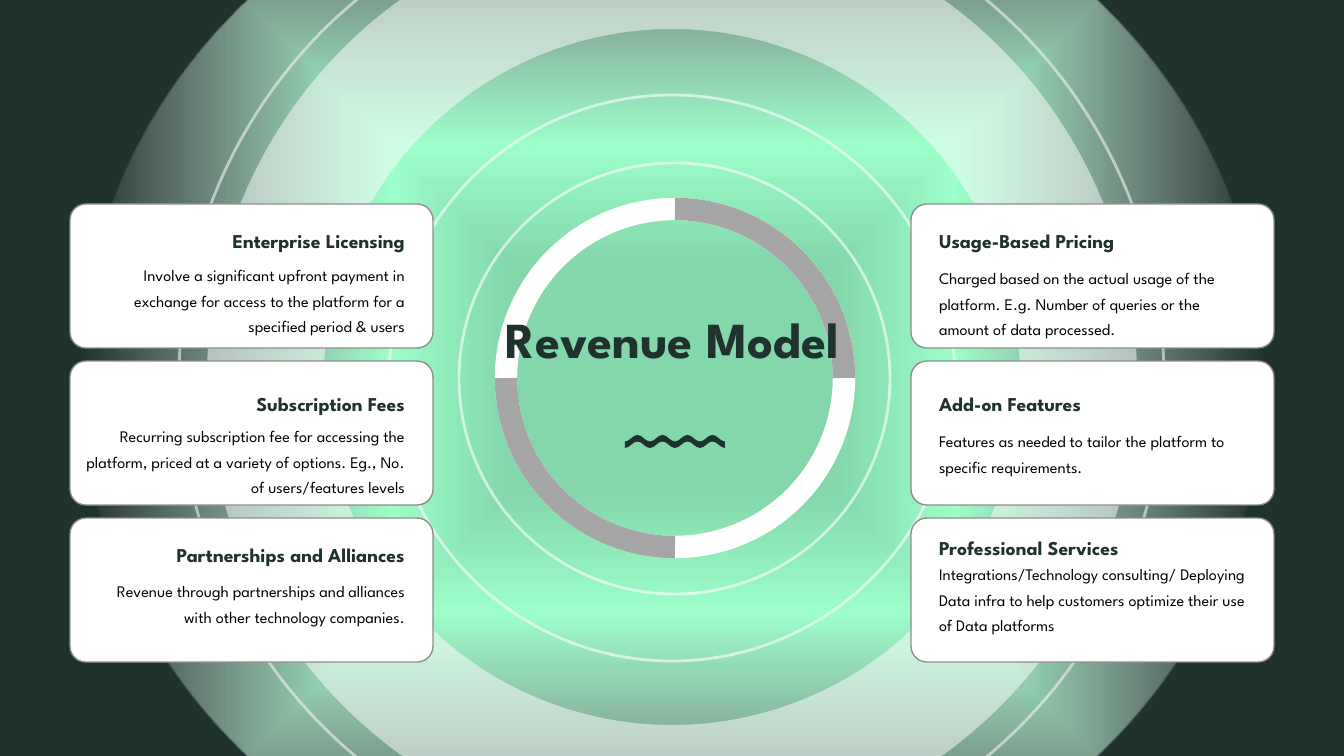
from pptx import Presentation
from pptx.dml.color import RGBColor as RGB
from pptx.enum.shapes import MSO_SHAPE as SHP
from pptx.enum.text import MSO_AUTO_SIZE as FIT, PP_ALIGN as AL
from pptx.oxml import parse_xml
from pptx.oxml.ns import nsdecls, qn
from pptx.util import Pt

PX = 914400 / 100.8
INK = {"dark": "20322E", "text": "000000", "white": "FFFFFF", "pale": "F2F2F2",
       "gray": "A6A6A6", "edge": "8E8E8E", "mint": "9CFFC9", "glow": "9DFFCA"}
HEAD = {"size": Pt(14), "bold": True}
BODY = {"size": Pt(11.5), "bold": False}
MAIN = {"size": Pt(36), "bold": True}


def draw(kind, box, fill=None, line=None, width=2, alpha=None, adj=None):
    """Add a preset shape; box is left, top, width, height in px."""
    shape = slide.shapes.add_shape(kind, *(round(v * PX) for v in box))
    shape.shadow.inherit = False
    if adj is not None:
        shape.adjustments[0] = adj
    for part, ink in ((shape.fill, fill), (shape.line.fill, line)):
        if ink:
            part.solid()
            part.fore_color.rgb = RGB.from_string(INK[ink])
        else:
            part.background()
    if line:
        shape.line.width = Pt(width)
    if alpha:
        for clr in shape.element.spPr.iter(qn("a:srgbClr")):
            clr.append(parse_xml(f'<a:alpha {nsdecls("a")} val="{alpha}000"/>'))
    return shape


def write(text, box, form, ink, align, space=None):
    """Add a text box of one paragraph; box is in px, space in points."""
    frame = slide.shapes.add_textbox(*(round(v * PX) for v in box)).text_frame
    look = {"word_wrap": True, "auto_size": FIT.SHAPE_TO_FIT_TEXT}
    look |= {f"margin_{side}": round(3 * PX) for side in ("left", "top", "right", "bottom")}
    for key, val in look.items():
        setattr(frame, key, val)
    para = frame.paragraphs[0]
    para.alignment = align
    if space:
        para.line_spacing = Pt(space)
    run = para.add_run()
    run.text = text
    for key, val in form.items():
        setattr(run.font, key, val)
    run.font.name = "League Spartan"
    run.font.color.rgb = RGB.from_string(INK[ink])


deck = Presentation()
deck.slide_width, deck.slide_height = round(1344 * PX), round(756 * PX)
slide = deck.slides.add_slide(deck.slide_layouts[6])
back = slide.background.fill
back.solid()
back.fore_color.rgb = RGB.from_string(INK["dark"])

# Glow behind everything
glow = draw(SHP.OVAL, (82, -164, 1181, 1084))
stops = "".join(
    f'<a:gs pos="{pos}000"><a:srgbClr val="{INK[ink]}"><a:alpha val="{alpha}000"/></a:srgbClr></a:gs>'
    for pos, ink, alpha in ((21, "mint", 80), (43, "glow", 100), (100, "white", 0)))
grad = parse_xml(
    f'<a:gradFill {nsdecls("a")} rotWithShape="1"><a:gsLst>{stops}</a:gsLst><a:path path="shape">'
    '<a:fillToRect l="50000" t="50000" r="50000" b="50000"/></a:path></a:gradFill>')
props = glow.element.spPr
props.replace(props.find(qn("a:noFill")), grad)

# Rings
draw(SHP.DONUT, (207, -88, 930, 930), fill="white", alpha=50, adj=117 / 930)
for left, top, size, ink in ((389, 95, 566, "white"), (179, -114, 985, "pale"),
                             (459, 163, 431, "white")):
    draw(SHP.OVAL, (left, top, size, size), line=ink, alpha=60)
dial = (506, 209, 338, 338)
draw(SHP.OVAL, dial, line="white", width=16)
for turn in (0, 180):
    draw(SHP.ARC, dial, line="gray", width=16).rotation = turn

# Cards: heading, its top and width, then body, its top and width
LEFT = [
    ("Enterprise Licensing", 226, 198,
     "Involve a significant upfront payment in exchange for access to the platform "
     "for a specified period & users", 257, 327),
    ("Subscription Fees", 389, 198,
     "Recurring subscription fee for accessing the platform, priced at a variety of "
     "options. Eg., No. of users/features levels", 418, 327),
    ("Partnerships and Alliances", 540, 263,
     "Revenue through partnerships and alliances with other technology companies.", 573, 318),
]
RIGHT = [
    ("Usage-Based Pricing", 226, 253,
     "Charged based on the actual usage of the platform. E.g. Number of queries or "
     "the amount of data processed.", 260, 311),
    ("Add-on Features", 389, 198,
     "Features as needed to tailor the platform to specific requirements.", 423, 320),
    ("Professional Services", 533, 298,
     "Integrations/Technology consulting/ Deploying Data infra to help customers "
     "optimize their use of Data platforms", 556, 326),
]
for cards, left, align in ((LEFT, 70, AL.RIGHT), (RIGHT, 911, AL.LEFT)):
    for row, (head, top, wide, body, low, span) in enumerate(cards):
        draw(SHP.ROUNDED_RECTANGLE, (left, 204 + 157 * row, 363, 144),
             fill="white", line="edge", width=1, adj=0.11)
        for text, y, w, h, form, ink, space in ((head, top, wide, 29, HEAD, "dark", None),
                                                (body, low, span, 80, BODY, "text", 18)):
            x = 408 - w if align == AL.RIGHT else 936
            write(text, (x, y, w, h), form, ink, align, space)

# Centre title
write("Revenue Model", (480, 320, 385, 99), MAIN, "dark", AL.CENTER, 32.8)

# Wave in tenths of a px: troughs and crests in turn, joined by curves
ridge = [(6250 + 125 * n, 4350 if n % 2 else 4415) for n in range(9)]
edge = ridge + [(x, y + 65) for x, y in reversed(ridge)]
pen = slide.shapes.build_freeform(*edge[0], scale=PX / 10)
pen.add_line_segments(edge[1:], close=True)
wave = pen.convert_to_shape()
wave.shadow.inherit = False
wave.fill.solid()
wave.fill.fore_color.rgb = RGB.from_string(INK["dark"])
wave.line.fill.background()
last = None
for step in list(next(wave.element.iter(qn("a:path")))):
    if step.tag == qn("a:close"):
        continue
    here = tuple(int(step[0].get(key)) for key in ("x", "y"))
    if last and here[0] != last[0]:
        bend = round((here[0] - last[0]) * 0.4)
        knots = ((last[0] + bend, last[1]), (here[0] - bend, here[1]), here)
        pts = "".join(f'<a:pt x="{x}" y="{y}"/>' for x, y in knots)
        curve = parse_xml(f'<a:cubicBezTo {nsdecls("a")}>{pts}</a:cubicBezTo>')
        step.getparent().replace(step, curve)
    last = here

deck.save("out.pptx")
